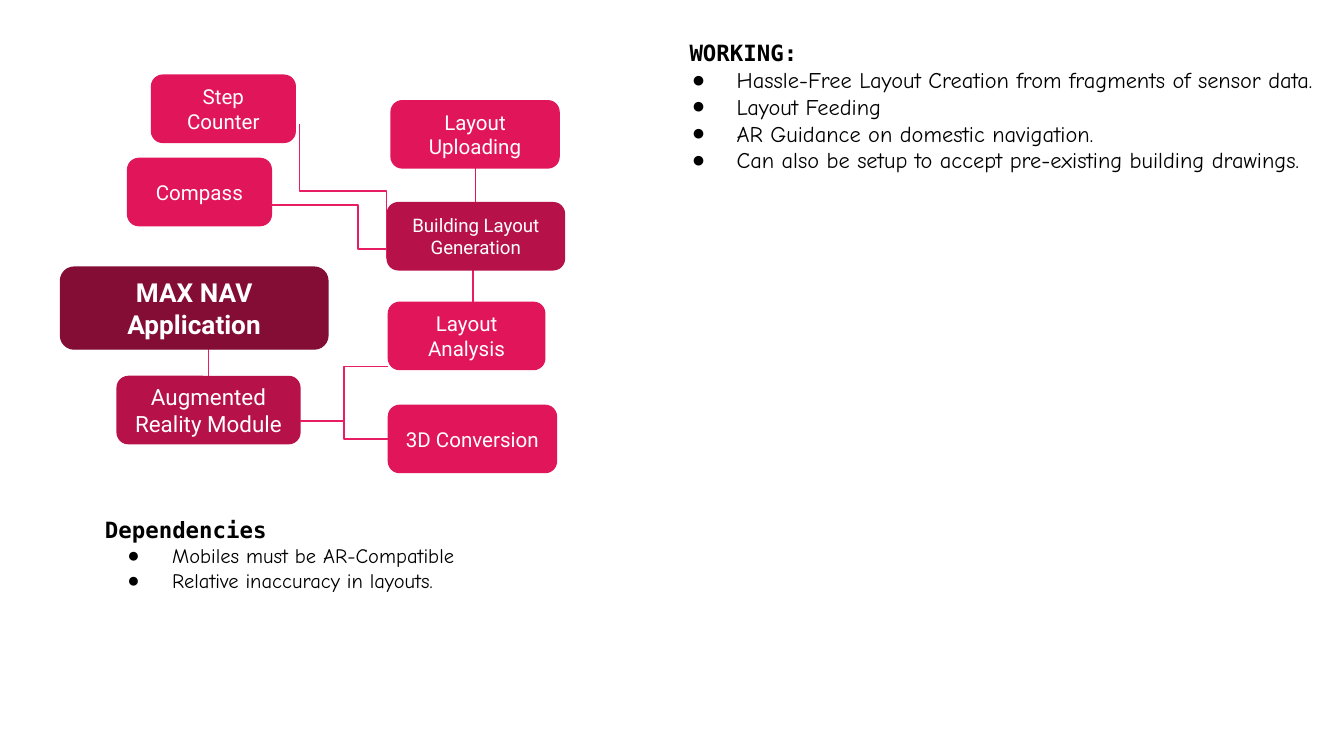
import dataclasses

import pptx
import pptx.dml.color
import pptx.enum.shapes
import pptx.enum.text
import pptx.oxml.ns
import pptx.util
from lxml import etree

Pt = pptx.util.Pt
Align = pptx.enum.text.PP_ALIGN
Anchor = pptx.enum.text.MSO_ANCHOR
Link = pptx.enum.shapes.MSO_CONNECTOR
qn = pptx.oxml.ns.qn


@dataclasses.dataclass(frozen=True)
class Theme:
    root: str = "840D35"
    node: str = "B61249"
    leaf: str = "E1165A"
    wire: str = "E91D63"
    ink: str = "000000"
    paper: str = "FFFFFF"
    large: int = 14
    head: int = 12
    small: int = 11
    tiny: int = 10
    stroke: float = 0.75
    inset: float = 7.2
    label: str = "Roboto"
    mono: str = "DejaVu Sans Mono"
    hand: str = "Comic Neue"


def tint(code):
    return pptx.dml.color.RGBColor.from_string(code)


def write(para, text, *, font, size, color, bold=False, align=Align.LEFT,
          left=0, hang=0, mark=None):
    """Fill one paragraph; mark is its bullet sign."""
    para.alignment = align
    para.line_spacing = 1.0
    para.space_before = para.space_after = Pt(0)
    run = para.add_run()
    run.text = text
    run.font.name, run.font.size, run.font.bold = font, Pt(size), bold
    run.font.color.rgb = tint(color)
    props = para._p.get_or_add_pPr()
    props.set("marL", str(Pt(left)))
    props.set("indent", str(Pt(-hang)))
    if mark:
        fill = etree.SubElement(props, qn("a:buClr"))
        etree.SubElement(fill, qn("a:srgbClr"), val=color)
        etree.SubElement(props, qn("a:buChar"), char=mark)
    else:
        etree.SubElement(props, qn("a:buNone"))


class Deck:
    def __init__(self, theme, slide):
        self.theme, self.slide = theme, slide

    def frame(self, shape, anchor):
        frame = shape.text_frame
        frame.word_wrap = True
        frame.auto_size = pptx.enum.text.MSO_AUTO_SIZE.NONE
        frame.vertical_anchor = anchor
        frame.margin_left = frame.margin_right = Pt(self.theme.inset)
        frame.margin_top = frame.margin_bottom = Pt(self.theme.inset)
        return frame

    def box(self, text, x, y, wide, high=36, *, fill, size, bold=False):
        shape = self.slide.shapes.add_shape(
            pptx.enum.shapes.MSO_SHAPE.ROUNDED_RECTANGLE,
            Pt(x), Pt(y), Pt(wide), Pt(high))
        shape.shadow.inherit = False
        shape.fill.solid()
        shape.fill.fore_color.rgb = shape.line.color.rgb = tint(fill)
        shape.line.width = Pt(self.theme.stroke)
        frame = self.frame(shape, Anchor.MIDDLE)
        for i, line in enumerate(text.split("\n")):
            para = frame.add_paragraph() if i else frame.paragraphs[0]
            write(para, line, font=self.theme.label, size=size, bold=bold,
                  color=self.theme.paper, align=Align.CENTER)

    def line(self, start, end, color, kind=Link.STRAIGHT):
        wire = self.slide.shapes.add_connector(
            kind, *(Pt(v) for v in (*start, *end)))
        wire.line.color.rgb = tint(color)
        wire.line.width = Pt(self.theme.stroke)
        etree.SubElement(wire._element.spPr, qn("a:effectLst"))
        return wire

    def bend(self, start, end, turn=0.5, upright=False):
        """Elbow that leaves sideways, or up and down if upright."""
        if upright:
            # Turn the ends back, as the line itself is turned by 90 degrees
            mx, my = ((a + b) / 2 for a, b in zip(start, end))
            start, end = ((mx + y - my, my - x + mx) for x, y in (start, end))
        wire = self.line(start, end, self.theme.wire, Link.ELBOW)
        props = wire._element.spPr
        if upright:
            props.find(qn("a:xfrm")).set("rot", "5400000")
        guides = props.find(qn("a:prstGeom")).find(qn("a:avLst"))
        etree.SubElement(guides, qn("a:gd"), name="adj1",
                         fmla=f"val {round(turn * 100000)}")

    def list(self, holder, place, head, items, size, left=0):
        holder.left, holder.top, holder.width, holder.height = map(Pt, place)
        frame = self.frame(holder, Anchor.TOP)
        write(frame.paragraphs[0], head, font=self.theme.mono, bold=True,
              size=self.theme.head, color=self.theme.ink, left=left)
        for item in items:
            write(frame.add_paragraph(), item, font=self.theme.hand, size=size,
                  color=self.theme.ink, left=36, hang=24, mark="●")


def main():
    show = pptx.Presentation()
    show.slide_width, show.slide_height = Pt(720), Pt(405)
    slide = show.slides.add_slide(show.slide_layouts[3])
    theme = Theme()
    deck = Deck(theme, slide)
    title, right, below = slide.placeholders
    title._element.getparent().remove(title._element)

    # Text lists
    deck.list(right, (351.4, 13.7, 360, 121.7), "WORKING:", [
        "Hassle-Free Layout Creation from fragments of sensor data.",
        "Layout Feeding",
        "AR Guidance on domestic navigation.",
        "Can also be setup to accept pre-existing building drawings.",
    ], theme.head, left=10.8)
    deck.list(below, (49, 269.3, 269.3, 77.8), "Dependencies", [
        "Mobiles must be AR-Compatible",
        "Relative inaccuracy in layouts.",
    ], theme.small)

    # Upright links, behind the boxes
    deck.line((111.6, 180), (111.6, 208.8), theme.wire)
    deck.line((253.4, 180), (253.4, 116), theme.wire)
    deck.line((254.9, 90), (254.9, 108.7), theme.leaf)

    # Root and main modules
    deck.box("MAX NAV\nApplication", 32.4, 143.1, 143.3, 43.9,
             fill=theme.root, size=theme.large, bold=True)
    deck.box("Building Layout Generation", 207.4, 108.6, 95,
             fill=theme.node, size=theme.tiny)
    deck.box("Augmented Reality Module", 62.8, 201.7, 97.9,
             fill=theme.node, size=theme.head)

    # Leaves
    for text, x, y, wide in (
        ("Step Counter", 81.2, 40.3, 77),
        ("Compass", 68.4, 84.9, 77),
        ("Layout Uploading", 209.5, 54, 90),
        ("Layout Analysis", 208.1, 162, 83.8),
        ("3D Conversion", 208.1, 217.2, 90),
    ):
        deck.box(text, x, y, wide, fill=theme.leaf, size=theme.small)

    # Bent links
    deck.bend((207.2, 138.4), (160.4, 66.4), upright=True)
    deck.bend((207.4, 133.4), (145.4, 109.9), turn=0.25)
    deck.bend((208.1, 196.4), (160.6, 225.6))
    deck.bend((208.1, 235.2), (160.6, 225.8))

    show.save("out.pptx")


if __name__ == "__main__":
    main()
